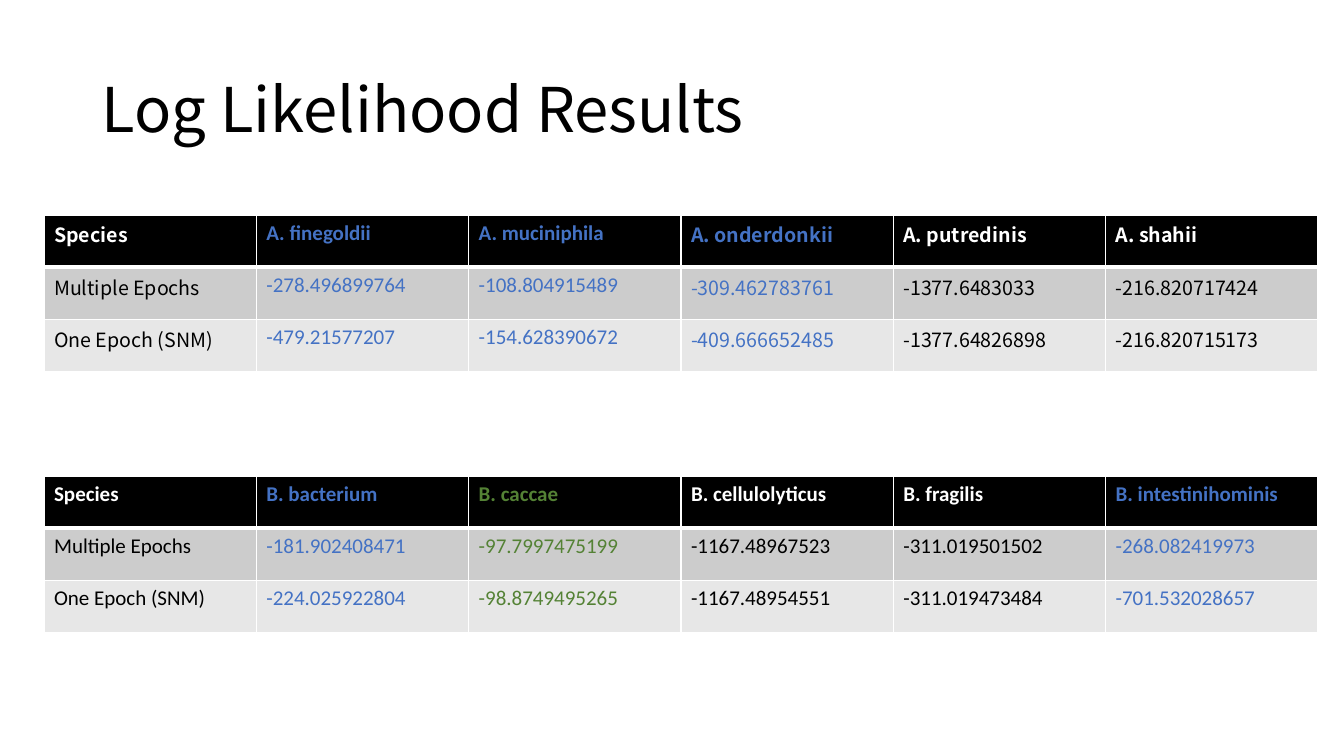
from lxml import etree
from pptx import Presentation
from pptx.dml.color import RGBColor
from pptx.enum.text import MSO_ANCHOR
from pptx.oxml.ns import qn
from pptx.util import Emu, Pt

MIDDLE = MSO_ANCHOR.MIDDLE
BLACK, WHITE, BLUE, GREEN = "000000", "FFFFFF", "4472C4", "548235"
FILLS = [BLACK, "CCCCCC", "E7E7E7"]
NOTO = ("Noto Sans CJK JP", 14)
CALIBRI = ("Calibri", 15)

TITLE = "Log Likelihood Results"
LABELS = ("Species", "Multiple Epochs", "One Epoch (SNM)")

# Each column: its three texts, accent colour or None, (font, size)
ALPHA = [
    (LABELS, None, NOTO),
    (("A. finegoldii", "-278.496899764", "-479.21577207"), BLUE, CALIBRI),
    (("A. muciniphila", "-108.804915489", "-154.628390672"), BLUE, CALIBRI),
    (("A. onderdonkii", "-309.462783761", "-409.666652485"), BLUE, NOTO),
    (("A. putredinis", "-1377.6483033", "-1377.64826898"), None, NOTO),
    (("A. shahii", "-216.820717424", "-216.820715173"), None, NOTO),
]
BETA = [
    (LABELS, None, CALIBRI),
    (("B. bacterium", "-181.902408471", "-224.025922804"), BLUE, CALIBRI),
    (("B. caccae", "-97.7997475199", "-98.8749495265"), GREEN, CALIBRI),
    (("B. cellulolyticus", "-1167.48967523", "-1167.48954551"), None, CALIBRI),
    (("B. fragilis", "-311.019501502", "-311.019473484"), None, CALIBRI),
    (("B. intestinihominis", "-268.082419973", "-701.532028657"), BLUE, CALIBRI),
]
TABLES = [(215, ALPHA), (476, BETA)]
LEFT, WIDTH, HEIGHT = 44, 1274, 157


def px(n):
    return Emu(round(n * 914400 / 100.8))


def rgb(code):
    return RGBColor.from_string(code)


def write(frame, text, font, size, color, bold=False, line=None):
    par = frame.paragraphs[0]
    par.line_spacing = line
    run = par.add_run()
    run.text = text
    run.font.name, run.font.size = font, Pt(size)
    run.font.bold = bold
    run.font.color.rgb = rgb(color)


def border(cell, top, bottom):
    """Draw white cell edges; widths in points."""
    props = cell._tc.get_or_add_tcPr()
    for side, width in (("L", 1), ("R", 1), ("T", top), ("B", bottom)):
        edge = etree.SubElement(props, qn(f"a:ln{side}"), w=str(Pt(width)))
        fill = etree.SubElement(edge, qn("a:solidFill"))
        etree.SubElement(fill, qn("a:srgbClr"), val=WHITE)


def draw_table(slide, top, cols):
    rows = len(FILLS)
    table = slide.shapes.add_table(
        rows, len(cols), px(LEFT), px(top), px(WIDTH), px(HEIGHT)).table
    for c, (texts, accent, face) in enumerate(cols):
        table.columns[c].width = px(WIDTH / len(cols))
        for r, text in enumerate(texts):
            head = r == 0
            cell = table.cell(r, c)
            border(cell, 3 if r == 1 else 1, 3 if head else 1)
            cell.fill.solid()
            cell.fill.fore_color.rgb = rgb(FILLS[r])
            color = accent or (WHITE if head else BLACK)
            write(cell.text_frame, text, *face, color, bold=head)
    for row in table.rows:
        row.height = px(HEIGHT / rows)


def main():
    deck = Presentation()
    deck.slide_width, deck.slide_height = px(1344), px(756)
    slide = deck.slides.add_slide(deck.slide_layouts[6])
    frame = slide.shapes.add_textbox(
        px(92), px(40), px(1159), px(146)).text_frame
    frame.word_wrap = True
    frame.vertical_anchor = MIDDLE
    write(frame, TITLE, NOTO[0], 44, BLACK, line=0.9)
    for top, cols in TABLES:
        draw_table(slide, top, cols)
    deck.save("out.pptx")


if __name__ == "__main__":
    main()
